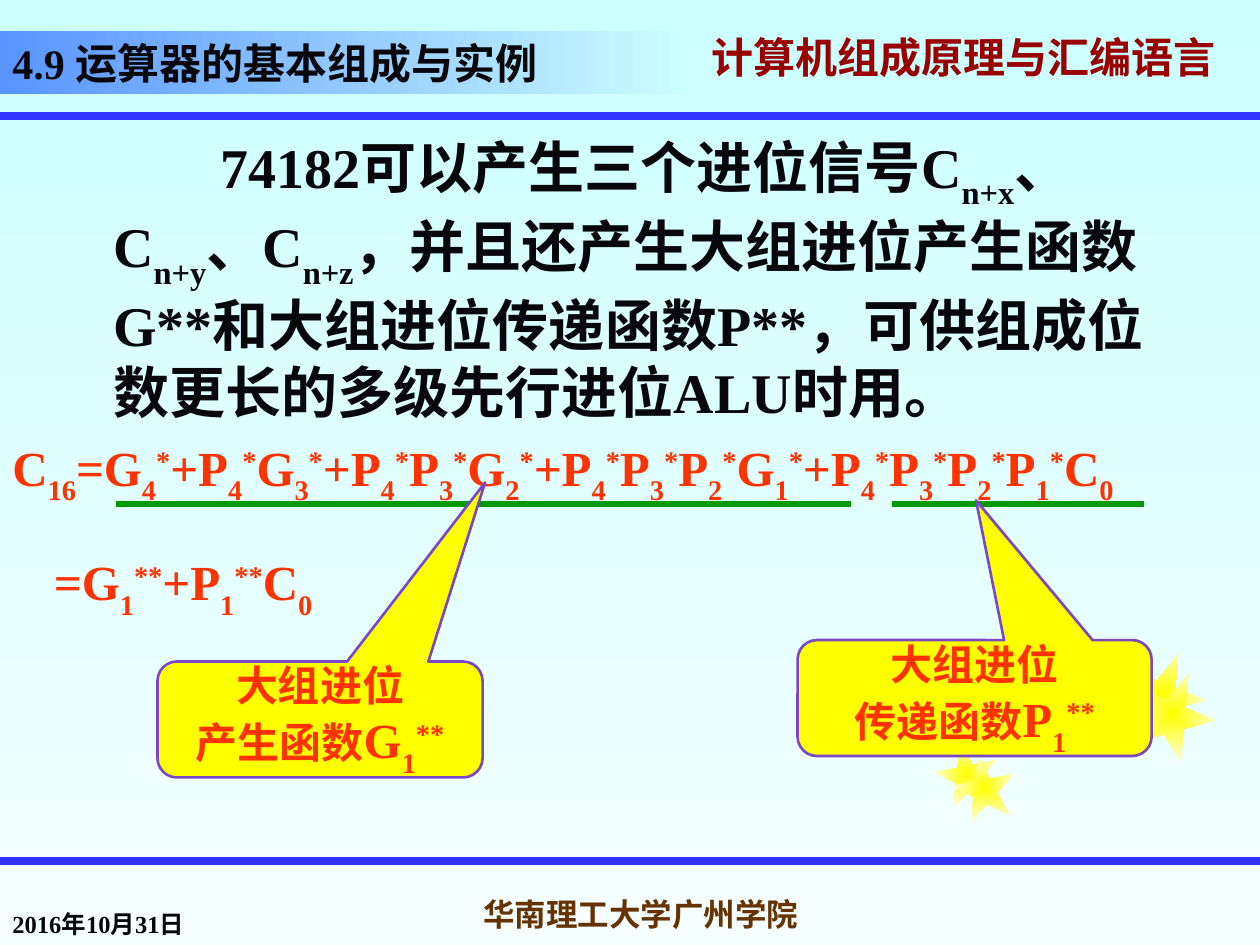
from lxml.etree import SubElement
from pptx import Presentation
from pptx.dml.color import RGBColor
from pptx.enum.shapes import MSO_CONNECTOR, MSO_SHAPE
from pptx.enum.text import MSO_ANCHOR, PP_ALIGN
from pptx.oxml import parse_xml
from pptx.oxml.ns import nsdecls, qn
from pptx.util import Inches, Pt


def rgb(color):
    return RGBColor.from_string(color)


def write(p, text, size, color, name="Times New Roman"):
    """Add runs split at |, where _ starts a subscript and ^ a superscript."""
    p.font.size, p.font.bold, p.font.name = Pt(size), True, name
    p.font.color.rgb = rgb(color)
    for part in text.split("|"):
        r = p.add_run()
        r.text = part.lstrip("_^")
        if part[0] in "_^":
            r.font._element.set("baseline", "-30000" if part[0] == "_" else "30000")
    return p


INK, RED, BLUE, GREEN, PURPLE = "08080C", "FF3300", "3333FF", "009900", "7A48C4"
CJK = "Noto Sans CJK SC"

prs = Presentation()
prs.slide_width, prs.slide_height = Inches(10), Inches(7.5)
s = prs.slides.add_slide(prs.slide_layouts[6])

# Background
fill = s.background.fill
fill.gradient()
fill.gradient_angle = 270
for stop, color in zip(fill.gradient_stops, ("CCFFFF", "F5FFFF")):
    stop.color.rgb = rgb(color)

# Stars behind the right callout
for x, y, size, angle in [(7.42, 5.89, 0.5, 349), (8.89, 5.17, 0.67, 22),
                          (7.56, 6, 0.5, 349), (8.97, 5.33, 0.67, 22)]:
    sp = s.shapes.add_shape(MSO_SHAPE.STAR_5_POINT, Inches(x), Inches(y),
                            Inches(size), Inches(size))
    sp.rotation = angle
    sp.shadow.inherit = False
    sp.line.fill.background()
    sp.fill.gradient()
    for stop, color in zip(sp.fill.gradient_stops, ("FFFF00", "FFFFF5")):
        stop.color.rgb = rgb(color)
    lin = sp._element.spPr.find(qn("a:gradFill")).find(qn("a:lin"))
    lin.getparent().replace(lin, parse_xml(
        f'<a:path {nsdecls("a")} path="shape">'
        '<a:fillToRect l="50000" t="50000" r="50000" b="50000"/></a:path>'))

# Section title on a fading band
sp = s.shapes.add_shape(MSO_SHAPE.RECTANGLE, 0, Inches(0.25), Inches(5.5), Inches(0.5))
sp.shadow.inherit = False
sp.line.fill.background()
sp.fill.gradient()
sp.fill.gradient_angle = 0
for stop, color in zip(sp.fill.gradient_stops, ("5994FF", "CCFFFF")):
    stop.color.rgb = rgb(color)
tf = sp.text_frame
tf.vertical_anchor = MSO_ANCHOR.BOTTOM
p = write(tf.paragraphs[0], "4.9 |运算器的基本组成与实例", 24, INK)
p.alignment = PP_ALIGN.JUSTIFY
p.runs[1].font.name = CJK

# Rules and formula underlines
for x1, x2, y, color, width in [(0, 10, 0.92, BLUE, 4.5), (0, 10, 6.83, BLUE, 4.5),
                                (0.92, 6.75, 4, GREEN, 3), (7.08, 9.08, 4, GREEN, 3)]:
    line = s.shapes.add_connector(MSO_CONNECTOR.STRAIGHT, Inches(x1), Inches(y),
                                  Inches(x2), Inches(y))
    line.line.color.rgb = rgb(color)
    line.line.width = Pt(width)
    SubElement(line._element.spPr, qn("a:effectLst"))

# Text boxes
terms = ["G4", "P4G3", "P4P3G2", "P4P3P2G1", "P4P3P2P1"]
carry = "|+".join("|".join(f"{t[i]}|_{t[i + 1]}|^*" for i in range(0, len(t), 2))
                  for t in terms)
body = ("74182可以产生三个进位信号C|_n+x|、C|_n+y|、C|_n+z|，并且还产生大组进位产生函数G**"
        "和大组进位传递函数P**，可供组成位数更长的多级先行进位ALU时用。")
paragraphs = []
for x, y, w, h, anchor, text, size, color, name in [
    (5.55, 0.25, 4.45, 0.5, MSO_ANCHOR.MIDDLE, "计算机组成原理与汇编语言", 24, "990000", CJK),
    (0, 7, 2.08, 0.5, MSO_ANCHOR.BOTTOM, "2016年10月31日", 14, INK, "Times New Roman"),
    (3.5, 7, 3.17, 0.5, MSO_ANCHOR.MIDDLE, "华南理工大学广州学院", 18, "663300",
     "Times New Roman"),
    (0.42, 1, 8.92, 2.4, MSO_ANCHOR.TOP, body, 32, INK, "Times New Roman"),
    (0, 3.42, 10, 0.52, MSO_ANCHOR.TOP, f"C|_16|={carry}|C|_0", 28, RED, "Times New Roman"),
    (0.33, 4.33, 2.4, 0.57, MSO_ANCHOR.TOP, "=G|_1|^**|+P|_1|^**|C|_0", 28, RED,
     "Times New Roman"),
]:
    tf = s.shapes.add_textbox(Inches(x), Inches(y), Inches(w), Inches(h)).text_frame
    tf.word_wrap = True
    tf.vertical_anchor = anchor
    paragraphs.append(write(tf.paragraphs[0], text, size, color, name))

course, date, school, intro, formula, result = paragraphs
course.line_spacing = 0.7
school.alignment = PP_ALIGN.CENTER
formula.line_spacing = 0.9
pPr = intro._p.get_or_add_pPr()
pPr.set("marL", str(Inches(0.38)))
pPr.set("indent", str(Inches(0.85)))
course.runs[0]._r.get_or_add_rPr().append(parse_xml(
    f'<a:effectLst {nsdecls("a")}><a:outerShdw dist="38100" dir="2700000">'
    '<a:srgbClr val="808080"/></a:outerShdw></a:effectLst>'))

# Callouts
for x, y, w, adjust, text in [(1.25, 5.25, 2.58, (0.508, -2.045), "产生函数|G|_1|^**"),
                              (6.33, 5.08, 2.81, (0.004, -1.705), "传递函数|P|_1|^**")]:
    sp = s.shapes.add_shape(MSO_SHAPE.ROUNDED_RECTANGULAR_CALLOUT, Inches(x), Inches(y),
                            Inches(w), Inches(0.92))
    sp.adjustments[0], sp.adjustments[1] = adjust
    sp.shadow.inherit = False
    sp.fill.solid()
    sp.fill.fore_color.rgb = rgb("FFFF00")
    sp.line.color.rgb = rgb(PURPLE)
    sp.line.width = Pt(1.5)
    tf = sp.text_frame
    tf.vertical_anchor = MSO_ANCHOR.MIDDLE
    lines = [write(tf.paragraphs[0], "大组进位", 24, RED), write(tf.add_paragraph(), text, 24, RED)]
    for p in lines:
        p.alignment = PP_ALIGN.CENTER
    for r in lines[1].runs[1:]:
        r.font.size = Pt(28)

prs.save("out.pptx")
